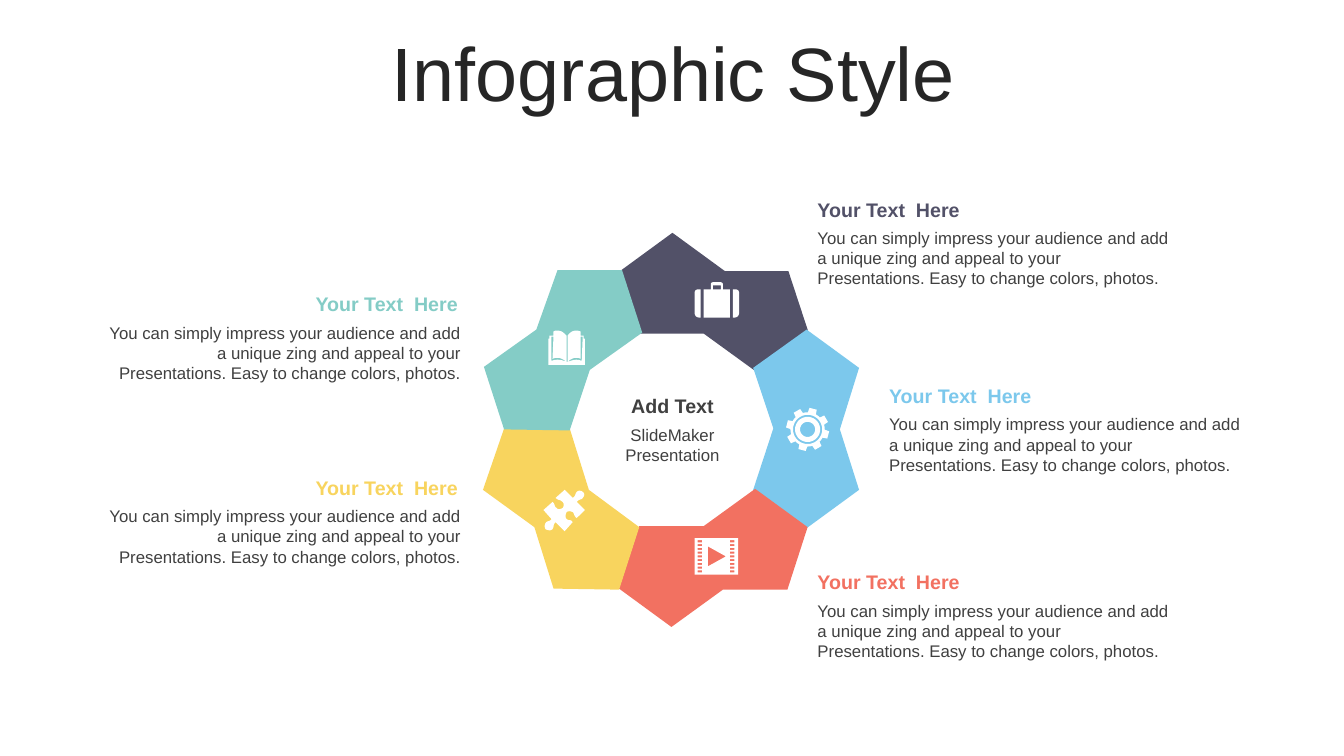
from dataclasses import dataclass
from math import cos, radians, sin

from pptx import Presentation
from pptx import util as u
from pptx.dml.color import RGBColor
from pptx.enum import text

PX = 9144  # EMU in one px, 100 px to the inch


@dataclass(frozen=True)
class Theme:
    font: str = "Arial"
    title: str = "262626"
    body: str = "404040"
    icon: str = "FFFFFF"
    plum: str = "525168"
    sky: str = "7CC8EC"
    coral: str = "F27161"
    yellow: str = "F8D45E"
    mint: str = "84CCC6"
    title_size: int = 54
    heading_size: int = 14
    body_size: int = 12


class Infographic:
    def __init__(self, slide, theme):
        self.slide = slide
        self.theme = theme

    def label(self, box, words, size, color, align="LEFT", bold=False,
              anchor="TOP", spacing=1.0):
        frame = self.slide.shapes.add_textbox(*(v * PX for v in box)).text_frame
        paragraph = frame.paragraphs[0]
        run = paragraph.add_run()
        run.text = words
        formats = {
            frame: {"word_wrap": True, "vertical_anchor": text.MSO_ANCHOR[anchor]},
            paragraph: {"alignment": text.PP_ALIGN[align], "line_spacing": spacing},
            run.font: {"name": self.theme.font, "size": u.Pt(size), "bold": bold},
        }
        for target, values in formats.items():
            for name, value in values.items():
                setattr(target, name, value)
        run.font.color.rgb = RGBColor.from_string(color)

    def outline(self, contours, color):
        """Fill closed contours; inner contours cut holes."""
        fine = 10
        builder = None
        for contour in contours:
            points = [(x * fine, y * fine) for x, y in flatten(contour)]
            if builder is None:
                builder = self.slide.shapes.build_freeform(*points[0], scale=PX / fine)
            else:
                builder.move_to(*points[0])
            builder.add_line_segments(points[1:], close=True)
        shape = builder.convert_to_shape()
        shape.shadow.inherit = False
        shape.fill.solid()
        shape.fill.fore_color.rgb = RGBColor.from_string(color)
        shape.line.fill.background()

    def caption(self, left, top, color, align):
        theme = self.theme
        self.label((left, top + 30, 370, 71), MESSAGE, theme.body_size, theme.body, align)
        self.label((left, top, 367, 34), "Your Text  Here", theme.heading_size,
                   color, align, bold=True)


def flatten(contour, steps=6):
    """Turn (x, y) corners and six-number Bezier steps into plain points."""
    points = []
    for step in contour:
        if len(step) == 2:
            points.append(step)
            continue
        ends = [points[-1], step[:2], step[2:4], step[4:]]
        for i in range(1, steps + 1):
            t = i / steps
            weights = ((1 - t) ** 3, 3 * t * (1 - t) ** 2, 3 * t * t * (1 - t), t ** 3)
            points.append(tuple(sum(w * p[axis] for w, p in zip(weights, ends))
                                for axis in (0, 1)))
    return points


def rect(left, top, right, bottom):
    return [(left, top), (right, top), (right, bottom), (left, bottom)]


def polar(center, radius, degrees):
    angle = radians(degrees)
    return center[0] + radius * cos(angle), center[1] + radius * sin(angle)


def film_icon():
    holes = [rect(left, 536 + 3.75 * row, left + 4.5, 538 + 3.75 * row)
             for row in range(9) for left in (692, 724)]
    return [rect(689, 534, 732, 570), [(702, 542), (702, 562), (720, 552)]] + holes


def gear_icon():
    center = (801, 426)
    tooth = ((-14, 17), (-10, 21.5), (10, 21.5), (14, 17), (22.5, 17))
    rim = [polar(center, radius, -75 + 45 * i + turn)
           for i in range(8) for turn, radius in tooth]
    rings = [[polar(center, radius, 10 * i) for i in range(36)]
             for radius in (14.5, 12.5, 7.5)]
    return [rim] + rings


MESSAGE = ("You can simply impress your audience and add a unique zing and appeal "
           "to your Presentations. Easy to change colors, photos.")

SUITCASE = [
    [(727, 287), (729, 287), (731, 287, 733, 288, 733, 290), (733, 311),
     (733, 313, 731, 315, 729, 315), (727, 315)],
    [(693, 287), (695, 287), (695, 315), (693, 315), (691, 315, 689, 313, 689, 311),
     (689, 290), (689, 288, 691, 287, 693, 287)],
    [(707, 280), (715, 280), (716, 280, 717, 281, 717, 282), (717, 287), (724, 287),
     (724, 315), (698, 315), (698, 287), (705, 287), (705, 282),
     (705, 281, 706, 280, 707, 280)],
    rect(707, 283, 715, 287),
]

BOOK = [[
    (562, 359), (562, 359, 563, 359, 563, 359), (569, 357, 571, 356, 577, 358),
    (578, 334), (576, 334), (576, 341, 576, 348, 576, 356),
    (572, 354, 567, 355, 563, 359), (563, 333), (565, 330, 568, 328, 571, 328),
    (572, 328, 574, 328, 576, 329), (576, 333), (579, 333), (579, 336), (580, 336),
    (580, 362), (544, 362), (544, 336), (545, 336), (545, 333), (549, 333), (549, 329),
    (550, 328, 552, 328, 553, 328), (557, 328, 559, 330, 562, 333), (562, 359),
    (557, 355, 553, 354, 548, 356), (549, 334), (547, 334), (547, 358),
    (553, 356, 557, 357, 562, 359),
]]

PUZZLE = [[
    (578, 488), (580, 489, 580, 492, 578, 494), (577, 496, 574, 495, 572, 498),
    (580, 506), (572, 514), (569, 512, 570, 510, 568, 508),
    (566, 507, 563, 507, 562, 508), (561, 510, 560, 513, 562, 515),
    (565, 517, 566, 515, 568, 518), (560, 527), (551, 518),
    (548, 521, 550, 522, 548, 525), (546, 527, 543, 526, 541, 525),
    (540, 523, 540, 521, 541, 519), (543, 516, 545, 518, 547, 515), (539, 506),
    (548, 498), (551, 500, 549, 502, 552, 504), (554, 506, 556, 505, 558, 504),
    (559, 503, 560, 500, 558, 498), (555, 495, 554, 497, 551, 494), (560, 486),
    (568, 494), (571, 492, 570, 491, 572, 488), (574, 486, 577, 487, 578, 488),
]]


def main():
    theme = Theme()
    deck = Presentation()
    deck.slide_width, deck.slide_height = 1333 * PX, 750 * PX
    page = Infographic(deck.slides.add_slide(deck.slide_layouts[6]), theme)

    # Title
    page.label((35, 37, 1266, 79), "Infographic Style", theme.title_size, theme.title,
               "CENTER", anchor="MIDDLE", spacing=0.9)

    # Ring of five interlocking blades
    blades = {
        theme.plum: [(667, 231), (719, 269), (782, 269), (802, 330),
                     (749, 368), (698, 331), (635, 331), (615, 269)],
        theme.sky: [(800, 327), (852, 365), (833, 426), (852, 486),
                    (800, 524), (747, 486), (767, 425), (747, 365)],
        theme.coral: [(749, 485), (801, 523), (781, 585), (717, 585),
                      (666, 622), (614, 584), (634, 522), (698, 522)],
        theme.yellow: [(500, 425), (565, 425), (584, 486), (634, 523),
                       (614, 585), (549, 584), (530, 523), (479, 486)],
        theme.mint: [(553, 268), (617, 268), (637, 330), (585, 367),
                     (565, 427), (500, 426), (480, 364), (532, 327)],
    }
    for color, corners in blades.items():
        page.outline([corners], color)

    # Center
    page.label((597, 386, 140, 34), "Add Text", theme.heading_size, theme.body,
               "CENTER", bold=True)
    page.label((597, 416, 140, 50), "SlideMaker Presentation", theme.body_size,
               theme.body, "CENTER")

    # Captions around the ring
    for left, top, color, align in (
        (801, 561, theme.coral, "LEFT"),
        (872, 376, theme.sky, "LEFT"),
        (801, 191, theme.plum, "LEFT"),
        (97, 467, theme.yellow, "RIGHT"),
        (97, 285, theme.mint, "RIGHT"),
    ):
        page.caption(left, top, color, align)

    # Icons on the blades
    for icon in (PUZZLE, BOOK, film_icon(), SUITCASE, gear_icon()):
        page.outline(icon, theme.icon)

    deck.save("out.pptx")


if __name__ == "__main__":
    main()
